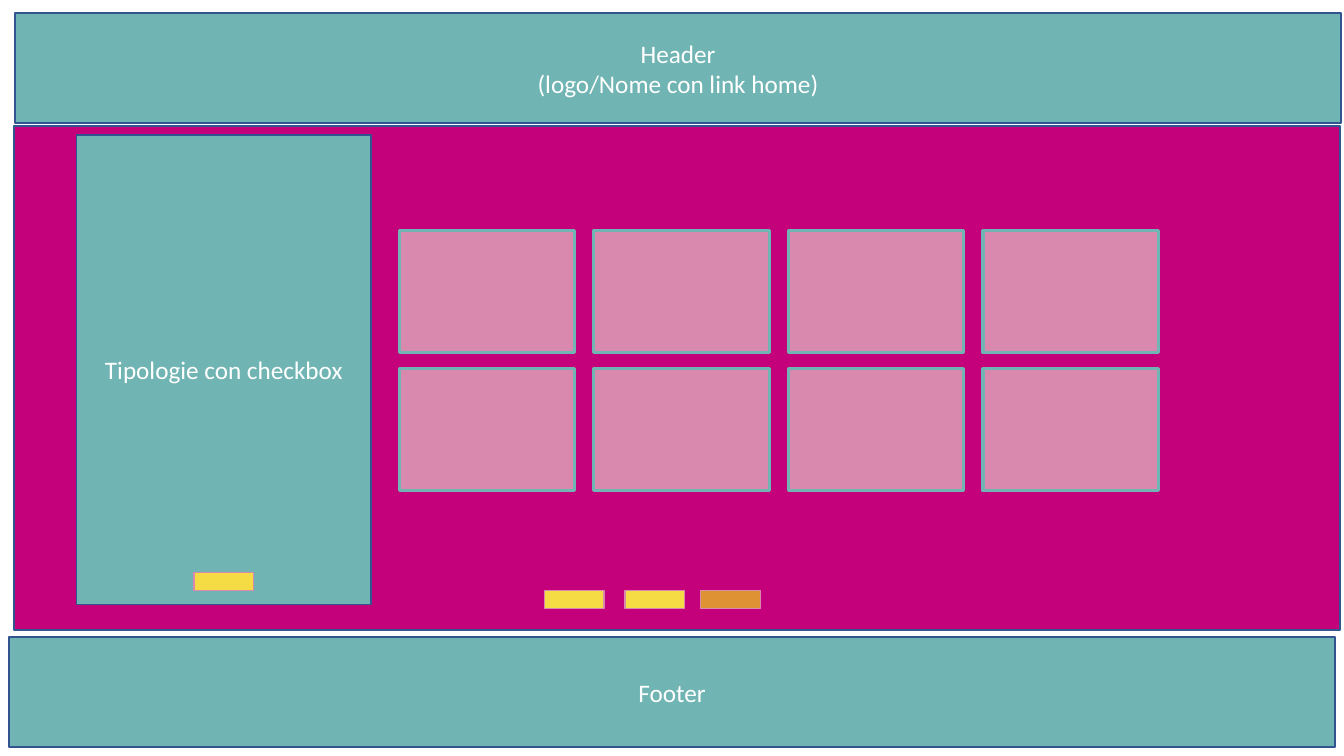
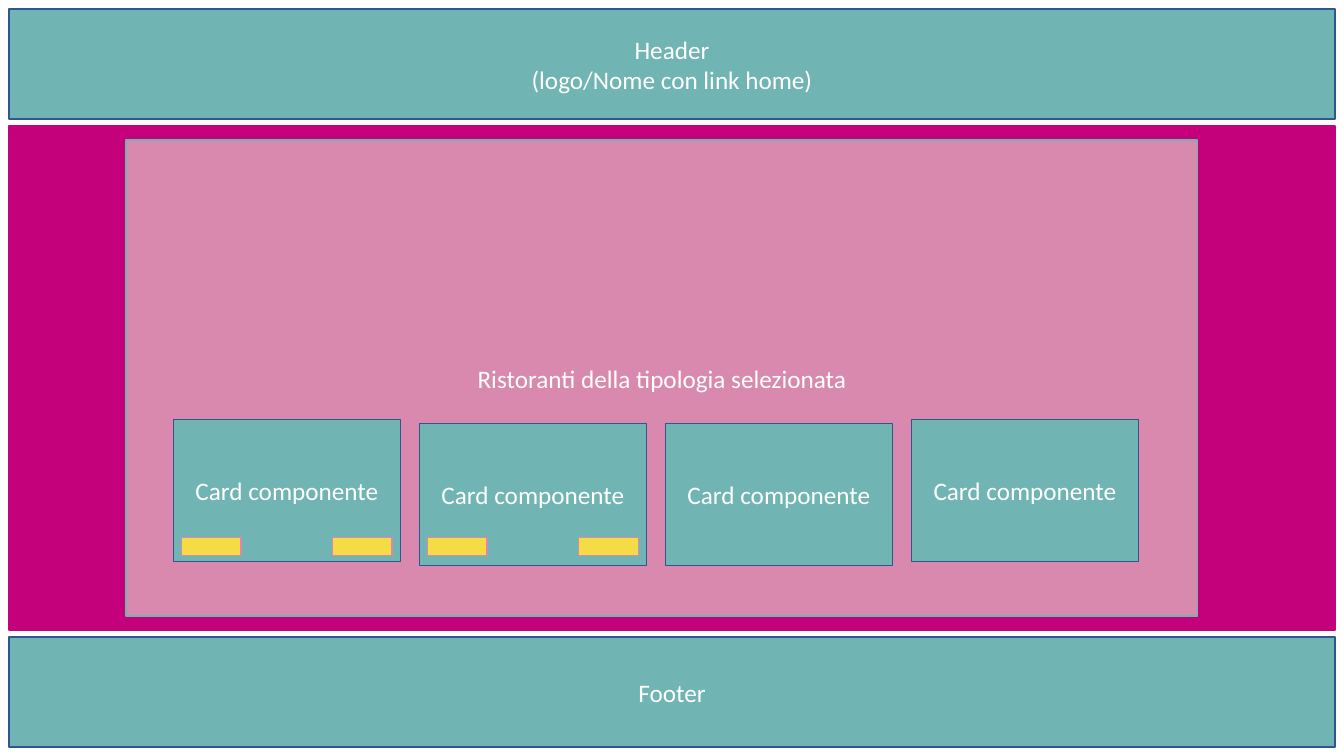
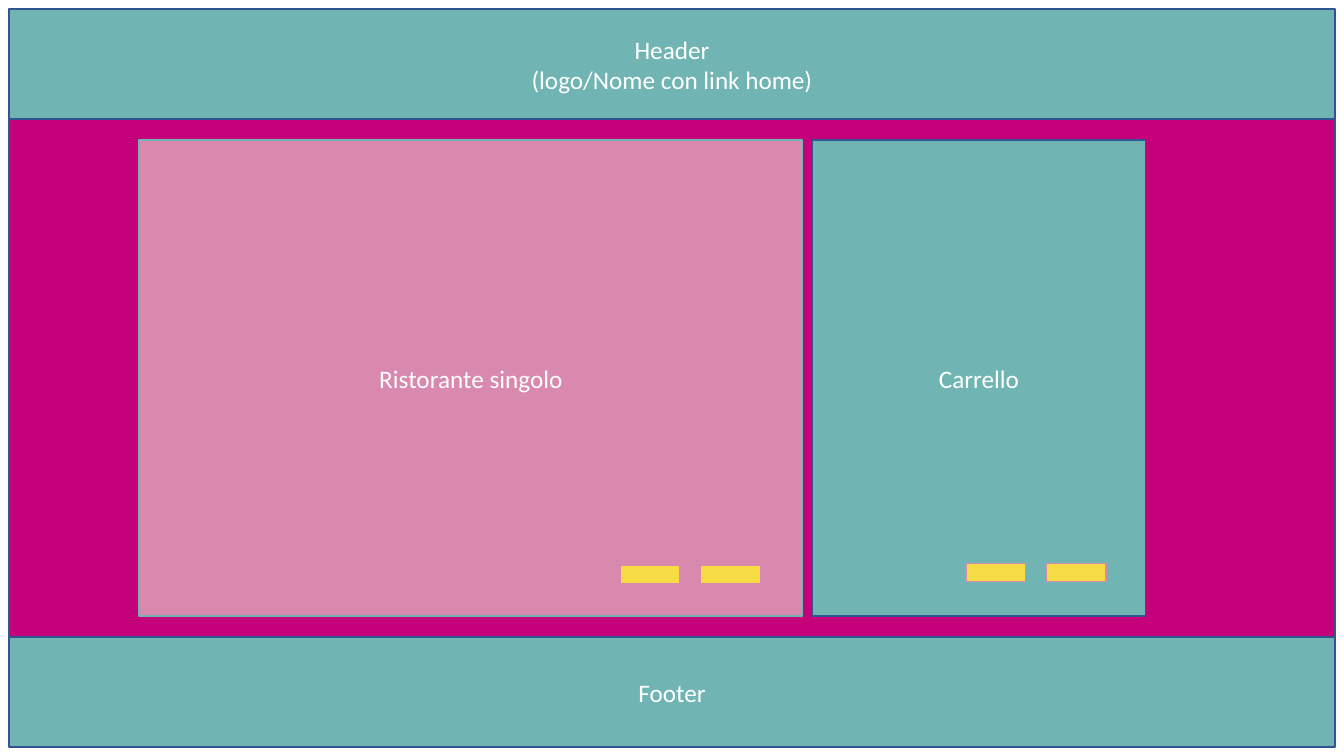
from pptx import Presentation
from pptx.dml.color import RGBColor
from pptx.enum.shapes import MSO_SHAPE
from pptx.enum.text import MSO_ANCHOR, PP_ALIGN
from pptx.util import Inches, Pt

# Shared palette and type
TEAL = RGBColor(0x70, 0xB5, 0xB3)
MAGENTA = RGBColor(0xC4, 0x00, 0x7A)
PINK = RGBColor(0xD9, 0x89, 0xAD)
YELLOW = RGBColor(0xF5, 0xDC, 0x45)
ORANGE = RGBColor(0xDE, 0x92, 0x33)
NAVY = RGBColor(0x32, 0x54, 0x91)
WHITE = RGBColor(0xFF, 0xFF, 0xFF)
FONT = "Calibri"

# Shared measures, in inches
SLIDE_WIDTH, SLIDE_HEIGHT = 13.33, 7.5
MARGIN = 0.09
BAND_WIDTH, BAND_HEIGHT = SLIDE_WIDTH - 2 * MARGIN, 1.09
FOOTER_TOP = SLIDE_HEIGHT - MARGIN - BAND_HEIGHT
BODY_TOP, BODY_HEIGHT = 1.25, 5
PANEL_TOP, PANEL_HEIGHT = 1.39, 4.72
BUTTON_WIDTH, BUTTON_HEIGHT = 0.59, 0.18
BUTTON_PITCH = 0.8
TILE_WIDTH, TILE_HEIGHT = 1.74, 1.21
TILE_COLUMN, TILE_ROW = 1.93, 1.37
CARD_WIDTH, CARD_HEIGHT = 2.25, 1.41
CARD_COLUMN = 2.44
CARD_INSET = 0.08


def write_text(shape, text, size=18, color=WHITE, align=PP_ALIGN.CENTER):
    """Fill a shape with text, one paragraph for each line."""
    frame = shape.text_frame
    frame.word_wrap = True
    frame.vertical_anchor = MSO_ANCHOR.MIDDLE
    frame.text = text
    for paragraph in frame.paragraphs:
        paragraph.alignment = align
        for run in paragraph.runs:
            run.font.name = FONT
            run.font.size = Pt(size)
            run.font.color.rgb = color


def add_box(slide, left, top, width, height, fill=TEAL, line=NAVY, weight=1, text=""):
    shape = slide.shapes.add_shape(
        MSO_SHAPE.RECTANGLE, Inches(left), Inches(top), Inches(width), Inches(height))
    shape.shadow.inherit = False
    shape.fill.solid()
    shape.fill.fore_color.rgb = fill
    shape.line.color.rgb = line
    shape.line.width = Pt(weight)
    if text:
        write_text(shape, text)


def add_button(slide, left, top, fill=YELLOW):
    add_box(slide, left, top, BUTTON_WIDTH, BUTTON_HEIGHT, fill=fill, line=PINK)


def add_page(presentation, header_left=MARGIN, header_top=MARGIN, body_left=MARGIN,
             body_top=BODY_TOP, body_height=BODY_HEIGHT, body_line=NAVY):
    """Add a blank slide with the header, footer and body bands."""
    slide = presentation.slides.add_slide(presentation.slide_layouts[6])
    add_box(slide, header_left, header_top, BAND_WIDTH, BAND_HEIGHT,
            text="Header\n(logo/Nome con link home)")
    add_box(slide, MARGIN, FOOTER_TOP, BAND_WIDTH, BAND_HEIGHT, text="Footer")
    add_box(slide, body_left, body_top, BAND_WIDTH, body_height,
            fill=MAGENTA, line=body_line)
    return slide


def build_home(presentation):
    slide = add_page(presentation, header_left=0.15, header_top=0.13, body_left=0.14)
    # Filter panel with its button
    panel_left, panel_width = 0.76, 2.92
    add_box(slide, panel_left, 1.34, panel_width, 4.66, text="Tipologie con checkbox")
    add_button(slide, panel_left + (panel_width - BUTTON_WIDTH) / 2, 5.68)
    # Grid of tiles
    for row in range(2):
        for column in range(4):
            add_box(slide, 3.96 + column * TILE_COLUMN, 2.29 + row * TILE_ROW,
                    TILE_WIDTH, TILE_HEIGHT, fill=PINK, line=TEAL, weight=2.25)
    # Page buttons
    for left, fill in ((5.4, YELLOW), (6.2, YELLOW), (6.95, ORANGE)):
        add_button(slide, left, 5.86, fill=fill)


def build_restaurant_list(presentation):
    slide = add_page(presentation, body_line=MAGENTA)
    add_box(slide, 1.25, PANEL_TOP, 10.63, PANEL_HEIGHT, fill=PINK, line=TEAL,
            text="Ristoranti della tipologia selezionata")
    # Row of cards, the inner two slightly lower; the first two have buttons
    for column, top in enumerate((4.16, 4.2, 4.2, 4.16)):
        left = 1.72 + column * CARD_COLUMN
        add_box(slide, left, top, CARD_WIDTH, CARD_HEIGHT, text="Card componente")
        if column < 2:
            add_button(slide, left + CARD_INSET, 5.33)
            add_button(slide, left + CARD_WIDTH - CARD_INSET - BUTTON_WIDTH, 5.33)


def build_restaurant(presentation):
    body_top = MARGIN + BAND_HEIGHT
    slide = add_page(presentation, body_top=body_top, body_height=FOOTER_TOP - body_top)
    # Restaurant and cart panels
    add_box(slide, 1.38, PANEL_TOP, 6.58, PANEL_HEIGHT, fill=PINK, line=TEAL,
            text="Ristorante singolo")
    add_box(slide, 8.06, PANEL_TOP, 3.3, PANEL_HEIGHT, text="Carrello")
    # A pair of buttons in each panel
    for first_left, top in ((6.15, 5.61), (9.58, 5.59)):
        for position in range(2):
            add_button(slide, first_left + position * BUTTON_PITCH, top)


def main():
    presentation = Presentation()
    presentation.slide_width = Inches(SLIDE_WIDTH)
    presentation.slide_height = Inches(SLIDE_HEIGHT)
    build_home(presentation)
    build_restaurant_list(presentation)
    build_restaurant(presentation)
    presentation.save("out.pptx")


if __name__ == "__main__":
    main()
